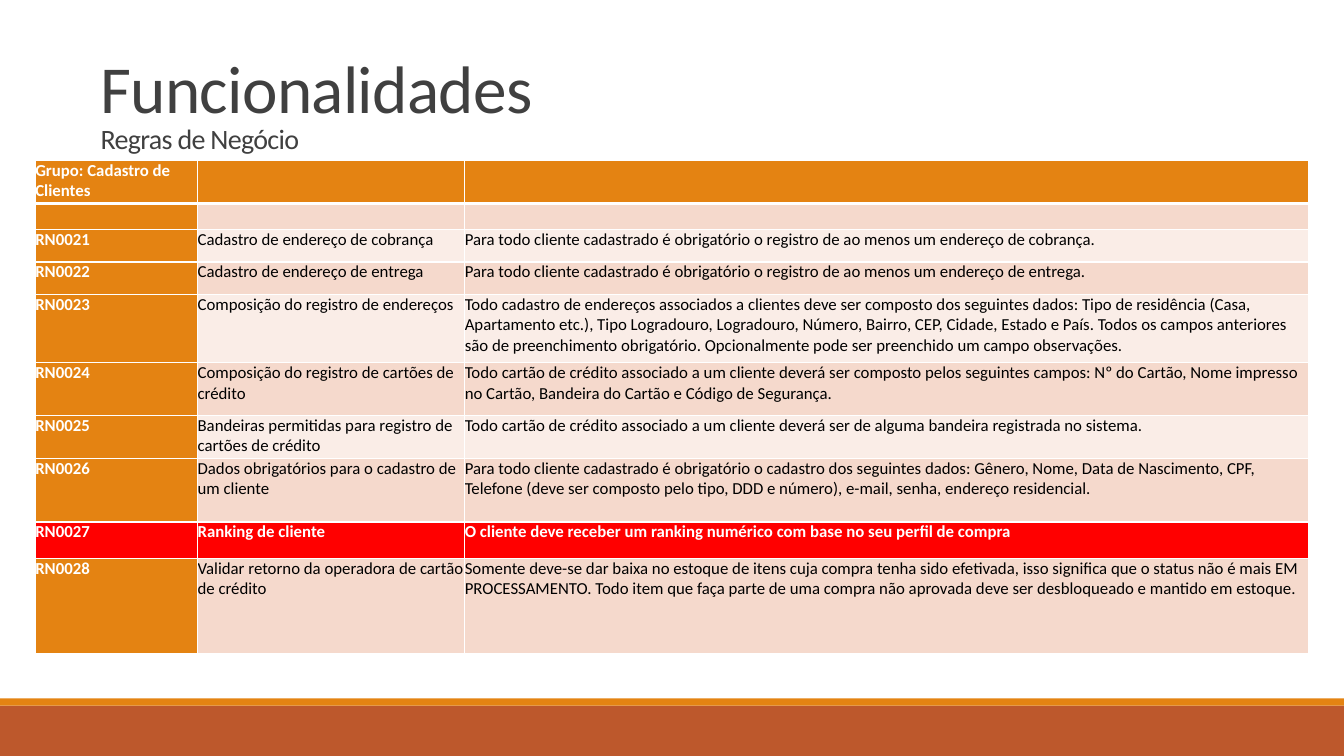
from lxml.etree import SubElement
from pptx import Presentation
from pptx.dml.color import RGBColor
from pptx.enum.shapes import MSO_SHAPE
from pptx.enum.text import MSO_ANCHOR
from pptx.oxml.ns import qn
from pptx.util import Inches, Pt

COLORS = {
    "orange": "E48312", "rust": "BD582C", "red": "FF0000", "white": "FFFFFF",
    "black": "000000", "gray": "404040", "band": "F5D9CC", "light": "FAEDE7",
}
GRID_COLUMNS, GRID_ROWS = 133.3, 75
TABLE_COLUMNS = [16.1, 26.5, 83.7]
RULES = [
    (4.3, "Grupo: Cadastro de Clientes", "", ""),
    (2.6, "", "", ""),
    (3.2, "RN0021", "Cadastro de endereço de cobrança",
     "Para todo cliente cadastrado é obrigatório o registro de ao menos um endereço de cobrança."),
    (3.2, "RN0022", "Cadastro de endereço de entrega",
     "Para todo cliente cadastrado é obrigatório o registro de ao menos um endereço de entrega."),
    (6.8, "RN0023", "Composição do registro de endereços",
     "Todo cadastro de endereços associados a clientes deve ser composto dos seguintes dados: "
     "Tipo de residência (Casa, Apartamento etc.), Tipo Logradouro, Logradouro, Número, Bairro, "
     "CEP, Cidade, Estado e País. Todos os campos anteriores são de preenchimento obrigatório. "
     "Opcionalmente pode ser preenchido um campo observações."),
    (5.2, "RN0024", "Composição do registro de cartões de crédito",
     "Todo cartão de crédito associado a um cliente deverá ser composto pelos seguintes campos: "
     "Nº do Cartão, Nome impresso no Cartão, Bandeira do Cartão e Código de Segurança."),
    (4.3, "RN0025", "Bandeiras permitidas para registro de cartões de crédito",
     "Todo cartão de crédito associado a um cliente deverá ser de alguma bandeira registrada no sistema."),
    (6.3, "RN0026", "Dados obrigatórios para o cadastro de um cliente",
     "Para todo cliente cadastrado é obrigatório o cadastro dos seguintes dados: Gênero, Nome, "
     "Data de Nascimento, CPF, Telefone (deve ser composto pelo tipo, DDD e número), e-mail, "
     "senha, endereço residencial."),
    (3.6, "RN0027", "Ranking de cliente",
     "O cliente deve receber um ranking numérico com base no seu perfil de compra"),
    (9.5, "RN0028", "Validar retorno da operadora de cartão de crédito",
     "Somente deve-se dar baixa no estoque de itens cuja compra tenha sido efetivada, isso "
     "significa que o status não é mais EM PROCESSAMENTO. Todo item que faça parte de uma compra "
     "não aprovada deve ser desbloqueado e mantido em estoque."),
]
HIGHLIGHTED = "RN0027"


def apply(target, values):
    for name, value in values.items():
        setattr(target, name, value)


class SlideBuilder:
    """Draws styled elements on one slide, measured in grid units."""

    def __init__(self, presentation):
        self.unit = presentation.slide_width / GRID_COLUMNS
        self.slide = presentation.slides.add_slide(presentation.slide_layouts[6])
        self.font = "Calibri"

    def lengths(self, *units):
        return [round(self.unit * count) for count in units]

    def color(self, name):
        return RGBColor.from_string(COLORS[name])

    def add_text(self, paragraph, text, size, color, bold=False):
        run = paragraph.add_run()
        run.text = text
        apply(run.font, {"name": self.font, "size": Pt(size), "bold": bold})
        run.font.color.rgb = self.color(color)
        return run

    def bar(self, top, height, color):
        shape = self.slide.shapes.add_shape(
            MSO_SHAPE.RECTANGLE, *self.lengths(0, top, GRID_COLUMNS, height))
        shape.shadow.inherit = False
        shape.fill.solid()
        shape.fill.fore_color.rgb = self.color(color)
        shape.line.fill.background()

    def title(self, heading, subtitle, place):
        frame = self.slide.shapes.add_textbox(*self.lengths(*place)).text_frame
        apply(frame, {"word_wrap": True, "vertical_anchor": MSO_ANCHOR.BOTTOM})
        paragraph = frame.paragraphs[0]
        paragraph.line_spacing = 0.85
        runs = [self.add_text(paragraph, heading, 48, "gray")]
        paragraph.add_line_break()
        runs.append(self.add_text(paragraph, subtitle, 20, "gray"))
        for run in runs:
            run._r.get_or_add_rPr().set("spc", "-50")

    def borders(self, cell, top, bottom):
        properties = cell._tc.get_or_add_tcPr()
        for side, width in {"L": 1, "R": 1, "T": top, "B": bottom}.items():
            line = SubElement(properties, qn(f"a:ln{side}"), w=str(Pt(width)))
            fill = SubElement(line, qn("a:solidFill"))
            SubElement(fill, qn("a:srgbClr"), val=COLORS["white"])

    def cell(self, cell, text, fill, color, bold):
        apply(cell, {f"margin_{side}": 0 for side in ("left", "right", "top", "bottom")})
        cell.fill.solid()
        cell.fill.fore_color.rgb = self.color(fill)
        paragraph = cell.text_frame.paragraphs[0]
        if text:
            self.add_text(paragraph, text, 12, color, bold)
        else:
            SubElement(paragraph._p, qn("a:endParaRPr"), sz="1200")

    def table(self, left, top, columns, rules):
        heights = [rule[0] for rule in rules]
        table = self.slide.shapes.add_table(
            len(rules), len(columns),
            *self.lengths(left, top, sum(columns), sum(heights))).table
        for column, width in zip(table.columns, self.lengths(*columns)):
            column.width = width
        for row, height in zip(table.rows, self.lengths(*heights)):
            row.height = height
        for row_index, (_, *texts) in enumerate(rules):
            for column_index, text in enumerate(texts):
                strong = row_index == 0 or column_index == 0 or texts[0] == HIGHLIGHTED
                fill = "band" if row_index % 2 else "light"
                if strong:
                    fill = "red" if texts[0] == HIGHLIGHTED else "orange"
                cell = table.cell(row_index, column_index)
                self.borders(cell, 3 if row_index == 1 else 1, 3 if row_index == 0 else 1)
                self.cell(cell, text, fill, "white" if strong else "black", strong)


def main():
    presentation = Presentation()
    apply(presentation, {"slide_width": Inches(13.33), "slide_height": Inches(7.5)})
    builder = SlideBuilder(presentation)
    builder.bar(70, GRID_ROWS - 70, "rust")
    builder.bar(69.3, 0.7, "orange")
    builder.title("Funcionalidades", "Regras de Negócio", (9, 0, 110, 15.9))
    builder.table(3.5, 15.9, TABLE_COLUMNS, RULES)
    presentation.save("out.pptx")


if __name__ == "__main__":
    main()
